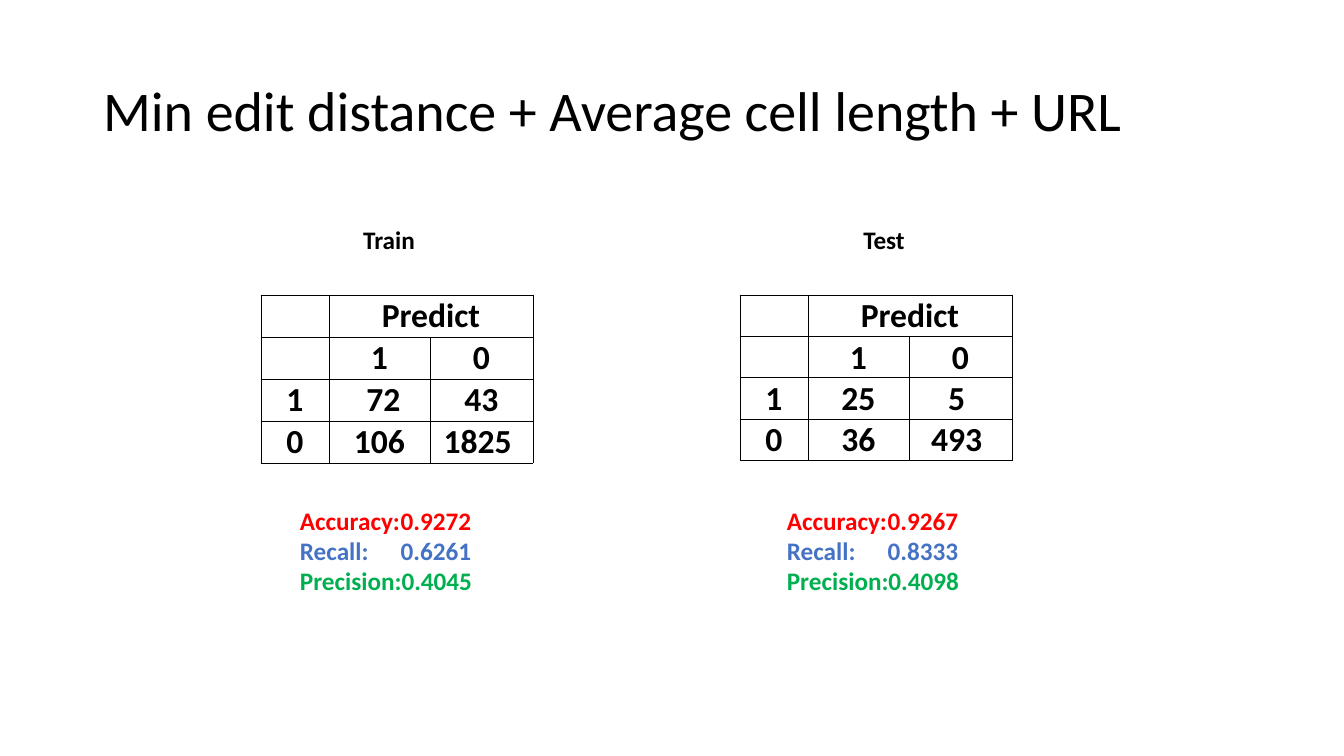
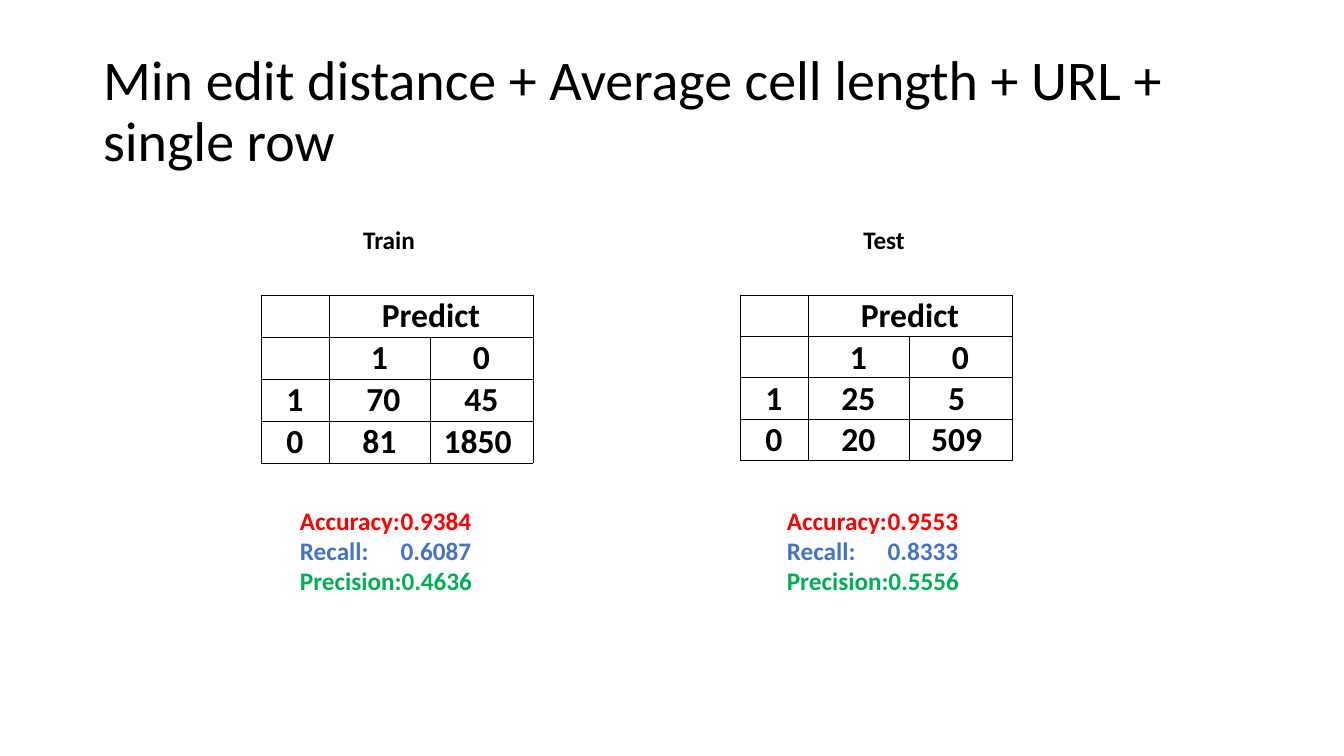
from lxml import etree
from pptx import Presentation
from pptx.dml.color import RGBColor
from pptx.enum.text import MSO_ANCHOR, MSO_AUTO_SIZE, PP_ALIGN
from pptx.oxml.ns import qn
from pptx.util import Pt

LEFT, CENTER = PP_ALIGN.LEFT, PP_ALIGN.CENTER
MIDDLE, BOTTOM = MSO_ANCHOR.MIDDLE, MSO_ANCHOR.BOTTOM
NO_FIT = MSO_AUTO_SIZE.NONE
SCALE = 914400 / 100.8
FONT = "Calibri"
BLACK, RED, BLUE, GREEN = "000000", "FF0000", "4472C4", "00B050"
TITLE_BOX = (93, 40, 1159, 146)
PANEL_TOP = 219
TABLE_DROP, METRICS_DROP = 76, 281
COLUMN_WIDTHS = (68, 101, 103)
METRICS = (("Accuracy:\t", RED), ("Recall:\t", BLUE), ("Precision:", GREEN))
SIDES = (
    {"name": "Train", "left": 261, "row_height": 42, "heading_shift": 29, "metrics_shift": 29},
    {"name": "Test", "left": 740, "row_height": 41, "heading_shift": 45, "metrics_shift": 37},
)
SLIDES = (
    ("Min edit distance + Average cell length + URL", (
        ((" 72", "43"), ("106", "1825\u00a0"), ("0.9272", "0.6261", "0.4045")),
        ((" 25\u00a0", "5\u00a0"), ("36", "493\u00a0"), ("0.9267", "0.8333", "0.4098")),
    )),
    ("Min edit distance + Average cell length + URL + single row", (
        ((" 70", "45"), ("81", "1850\u00a0"), ("0.9384", "0.6087", "0.4636")),
        ((" 25\u00a0", "5\u00a0"), ("20", "509\u00a0"), ("0.9553", "0.8333", "0.5556")),
    )),
)


def px(length):
    """Turn pixels into EMU."""
    return round(length * SCALE)


def color(value):
    """Turn a hex string into a colour."""
    return RGBColor.from_string(value)


def apply(target, values):
    """Set each attribute named in a dict."""
    for name, value in values.items():
        setattr(target, name, value)


def write(para, text, size, ink=BLACK, bold=True, align=CENTER):
    """Put one formatted span into a paragraph."""
    para.alignment = align
    span = para.add_run()
    span.text = text
    apply(span.font, {"name": FONT, "size": Pt(size), "bold": bold})
    span.font.color.rgb = color(ink)


def add_lines(page, box, lines, align):
    """Add a text box with one bold paragraph for each text and colour."""
    frame = page.shapes.add_textbox(*map(px, box)).text_frame
    frame.word_wrap = True
    for index, (text, ink) in enumerate(lines):
        para = frame.add_paragraph() if index else frame.paragraphs[0]
        write(para, text, 18, ink, align=align)


def format_cell(cell):
    """Give a cell thin black borders, no fill and tight margins."""
    apply(cell, {"margin_left": px(1), "margin_right": px(1), "margin_top": px(1),
                 "margin_bottom": 0, "vertical_anchor": BOTTOM})
    properties = cell._tc.get_or_add_tcPr()
    for edge in ("a:lnL", "a:lnR", "a:lnT", "a:lnB"):
        line = etree.SubElement(properties, qn(edge), w=str(Pt(0.5)))
        fill = etree.SubElement(line, qn("a:solidFill"))
        etree.SubElement(fill, qn("a:srgbClr"), val=BLACK)
    cell.fill.background()


def add_matrix(page, left, top, row_height, positives, negatives):
    """Add a confusion matrix at the given corner."""
    rows = (("", "Predict", ""), ("", "1", "0"), ("1", *positives), ("0", *negatives))
    box = (left, top, sum(COLUMN_WIDTHS), row_height * len(rows))
    table = page.shapes.add_table(len(rows), len(COLUMN_WIDTHS), *map(px, box)).table
    apply(table, {"first_row": False, "horz_banding": False})
    for column, width in zip(table.columns, COLUMN_WIDTHS):
        column.width = px(width)
    for row, texts in zip(table.rows, rows):
        row.height = px(row_height)
        for cell, text in zip(row.cells, texts):
            format_cell(cell)
            if text:
                write(cell.text_frame.paragraphs[0], text, 24)
    table.cell(0, 1).merge(table.cell(0, 2))


def add_panel(page, side, top, results):
    """Add the heading, matrix and metrics of one data set."""
    positives, negatives, scores = results
    left = side["left"]
    add_lines(page, (left + side["heading_shift"], top, 198, 40), [(side["name"], BLACK)], CENTER)
    add_matrix(page, left, top + TABLE_DROP, side["row_height"], positives, negatives)
    lines = [(label + score, ink) for (label, ink), score in zip(METRICS, scores)]
    add_lines(page, (left + side["metrics_shift"], top + METRICS_DROP, 215, 102), lines, LEFT)


def add_title(page, box, text):
    """Move and fill the title placeholder."""
    title = page.shapes.title
    apply(title, dict(zip(("left", "top", "width", "height"), map(px, box))))
    frame = title.text_frame
    apply(frame, {"word_wrap": True, "auto_size": NO_FIT, "vertical_anchor": MIDDLE})
    para = frame.paragraphs[0]
    para.line_spacing = 0.9
    write(para, text, 40, bold=False, align=LEFT)


def add_result_slide(deck, title, results):
    """Add a slide that compares the train and test results."""
    page = deck.slides.add_slide(deck.slide_layouts[5])
    add_title(page, TITLE_BOX, title)
    for side, side_results in zip(SIDES, results):
        add_panel(page, side, PANEL_TOP, side_results)


def main():
    """Build and save the deck."""
    deck = Presentation()
    apply(deck, {"slide_width": px(1344), "slide_height": px(756)})
    for title, results in SLIDES:
        add_result_slide(deck, title, results)
    deck.save("out.pptx")


main()
